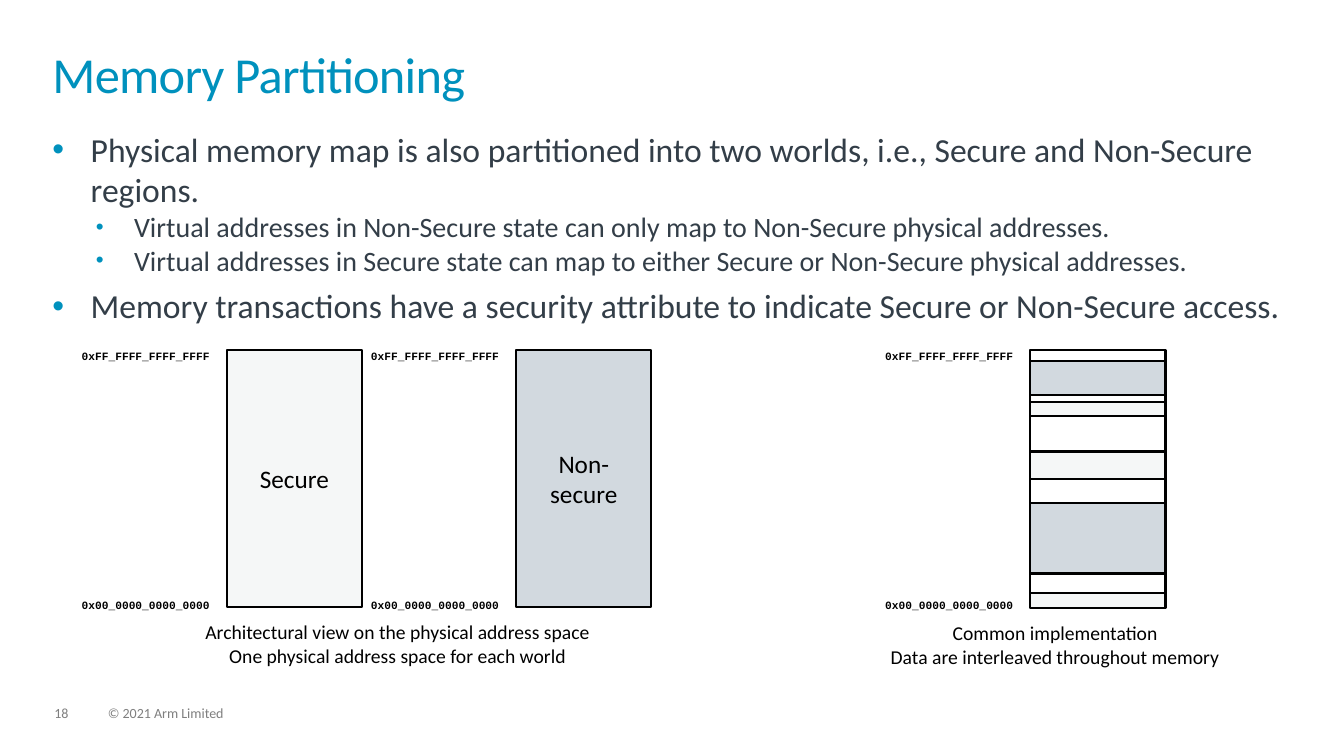
from dataclasses import dataclass
from lxml.etree import SubElement as Sub
from pptx import Presentation
from pptx.dml.color import RGBColor as RGB
from pptx.enum.shapes import MSO_SHAPE as Shape
from pptx.enum.text import MSO_ANCHOR as Anchor, MSO_AUTO_SIZE as Fit, PP_ALIGN as Align
from pptx.oxml.ns import qn
from pptx.util import Inches, Pt


@dataclass(frozen=True)
class Theme:
    """Colours, fonts and type sizes of the slide."""
    blue: str = "0091BD"
    slate: str = "333E48"
    grey: str = "7F7F7F"
    black: str = "000000"
    white: str = "FFFFFF"
    secure: str = "F5F7F7"
    normal: str = "D2D9DF"
    sans: str = "Calibri"
    mono: str = "Courier New"
    title: int = 36
    body: int = 24
    sub: int = 20
    label: int = 18
    note: int = 14
    foot: int = 10
    addr: int = 8


T = Theme()


def place(box):
    """Turn a box in inches into lengths."""
    return [Inches(v) for v in box]


def write(frame, text, size=T.note, color=T.black, font=T.sans, bold=False,
          align=Align.LEFT, anchor=Anchor.TOP, inset=0, line=None, after=None, track=None):
    """Fill a text frame, one paragraph per line of text."""
    frame.word_wrap = True
    frame.auto_size = Fit.NONE
    frame.vertical_anchor = anchor
    frame.margin_left = frame.margin_right = Inches(inset)
    frame.margin_top = frame.margin_bottom = Inches(inset / 2)
    for i, words in enumerate(text.split("\n")):
        para = frame.add_paragraph() if i else frame.paragraphs[0]
        para.alignment = align
        para.line_spacing = line
        para.space_after = after
        run = para.add_run()
        run.text = words
        run.font.size = Pt(size)
        run.font.name = font
        run.font.bold = bold
        run.font.color.rgb = RGB.from_string(color)
        if track:
            run._r.get_or_add_rPr().set("spc", str(track))
    return frame


def label(slide, box, text, **style):
    """Add a text box."""
    return write(slide.shapes.add_textbox(*place(box)).text_frame, text, **style)


def block(slide, box, fill, text=""):
    """Add an outlined memory block with an optional name."""
    rect = slide.shapes.add_shape(Shape.RECTANGLE, *place(box))
    rect.shadow.inherit = False
    rect.fill.solid()
    rect.fill.fore_color.rgb = RGB.from_string(fill)
    rect.line.color.rgb = RGB.from_string(T.black)
    rect.line.width = Pt(1.5)
    if text:
        write(rect.text_frame, text, size=T.label, align=Align.CENTER,
              anchor=Anchor.MIDDLE, inset=0.1)


def bullet(para, level):
    """Give a paragraph its bullet, indent and spacing."""
    para.level = level
    props = para._p.get_or_add_pPr()
    props.set("marL", str(Inches(0.81 if level else 0.38)))
    props.set("indent", str(Inches(-0.38)))
    Sub(Sub(props, qn("a:buClr")), qn("a:srgbClr"), val=T.blue)
    Sub(props, qn("a:buSzPct"), val="80000" if level else "100000")
    Sub(props, qn("a:buFont"), typeface="Arial")
    Sub(props, qn("a:buChar"), char="•")


def heading(slide, box, text):
    """Place and format the title."""
    title = slide.shapes.title
    title.left, title.top, title.width, title.height = place(box)
    write(title.text_frame, text, size=T.title, color=T.blue, line=0.85, track=-50)


def points(slide, box, items):
    """Add the bulleted body from pairs of level and text."""
    frame = label(slide, box, "\n".join(text for _, text in items), color=T.slate)
    for i, (para, (level, _)) in enumerate(zip(frame.paragraphs, items)):
        bullet(para, level)
        para.runs[0].font.size = Pt(T.sub if level else T.body)
        if i and not level:
            para.space_before = Pt(6)


def memory(slide, box, fill, text="", bands=()):
    """Draw a memory map with its end addresses and banded regions."""
    left, top, width, height = box
    gap, wide = 1.44, 1.34
    block(slide, (left + gap, top, wide, height), fill, text)
    for down, tall, shade in bands:
        block(slide, (left + gap, top + down, wide, tall), shade)
    ends = ((0, "0xFF_FFFF_FFFF_FFFF"), (height - 0.08, "0x00_0000_0000_0000"))
    for down, address in ends:
        label(slide, (left, top + down, gap, 0.2), address,
              size=T.addr, font=T.mono, bold=True)


def footer(slide, box):
    """Add the page number and the copyright line."""
    left, top, width, height = box
    style = dict(size=T.foot, color=T.grey, line=0.9, after=Pt(6))
    label(slide, (left, top, 0.34, height), "18", **style)
    label(slide, (left + 0.53, top, width - 0.53, height), "© 2021 Arm Limited", **style)


def build():
    """Build the memory partitioning slide."""
    deck = Presentation()
    deck.slide_width, deck.slide_height = Inches(13.33), Inches(7.5)
    slide = deck.slides.add_slide(deck.slide_layouts[5])
    heading(slide, (0.52, 0.52, 12.28, 0.72), "Memory Partitioning")
    points(slide, (0.52, 1.28, 12.28, 2.1), [
        (0, "Physical memory map is also partitioned into two worlds, i.e., Secure and Non-Secure regions."),
        (1, "Virtual addresses in Non-Secure state can only map to Non-Secure physical addresses."),
        (1, "Virtual addresses in Secure state can map to either Secure or Non-Secure physical addresses."),
        (0, "Memory transactions have a security attribute to indicate Secure or Non-Secure access."),
    ])
    top, width, height = 3.47, 2.78, 2.55
    memory(slide, (0.81, top, width, height), T.secure, "Secure")
    memory(slide, (3.68, top, width, height), T.normal, "Non-secure")
    memory(slide, (8.78, top, width, height), T.white, bands=[
        (0.11, 0.34, T.normal), (0.52, 0.14, T.secure), (1.01, 0.27, T.secure),
        (1.52, 0.7, T.normal), (2.41, 0.15, T.secure)])
    label(slide, (1.93, 6.15, 4.03, 0.51),
          "Architectural view on the physical address space\n"
          "One physical address space for each world", align=Align.CENTER)
    label(slide, (8.78, 6.16, 3.37, 0.47),
          "Common implementation\nData are interleaved throughout memory", align=Align.CENTER)
    footer(slide, (0.54, 7.01, 5.6, 0.15))
    deck.save("out.pptx")


if __name__ == "__main__":
    build()
